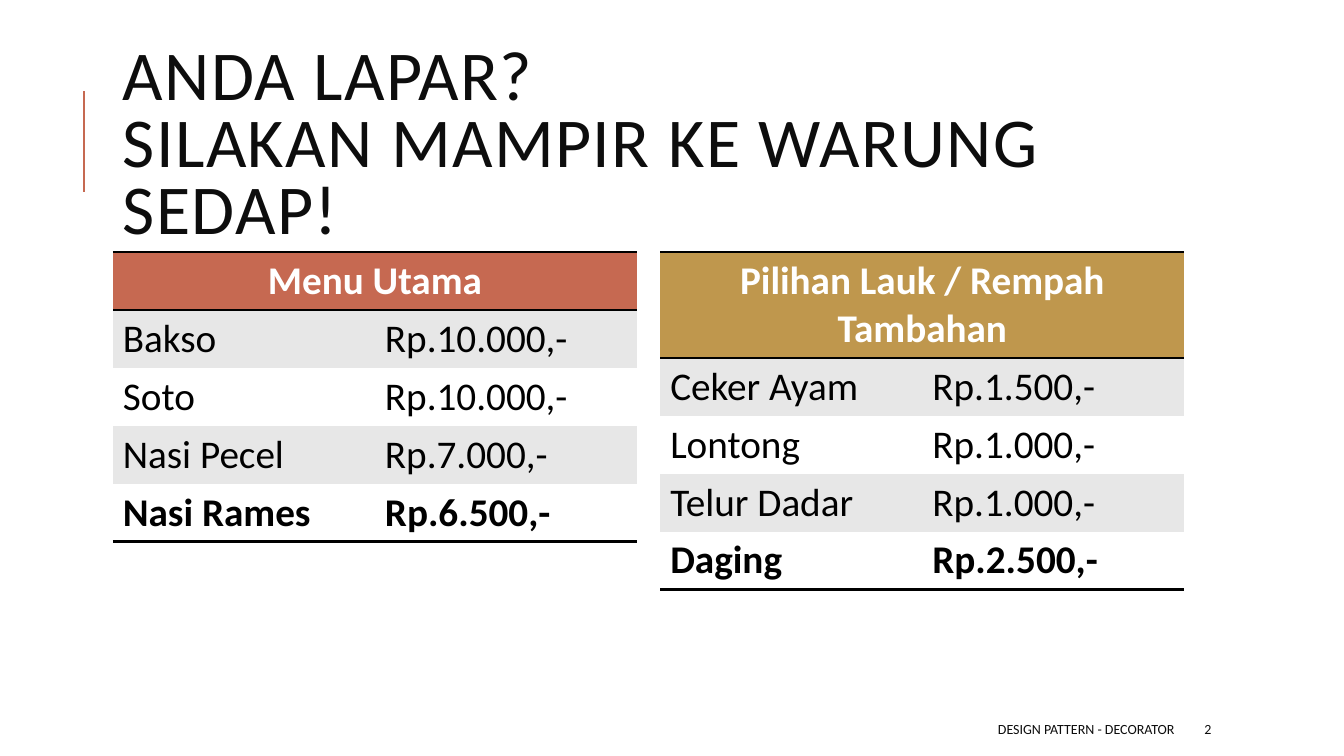
"""Build the slide with the two menus of the food stall."""
from lxml import etree
from pptx import Presentation
from pptx.dml.color import RGBColor
from pptx.enum import shapes, text
from pptx.oxml import ns
from pptx.util import Pt

RUST = RGBColor(0xC6, 0x69, 0x51)
GOLD = RGBColor(0xBF, 0x97, 0x4D)
GREY = RGBColor(0xE7, 0xE7, 0xE7)
WHITE = RGBColor(0xFF, 0xFF, 0xFF)
BLACK = RGBColor(0, 0, 0)
INK = RGBColor(0x0D, 0x0D, 0x0D)
FONT = "Calibri"
NO_TABLE_STYLE = "{2D5ABB26-0587-4C30-8999-92F81FD0307C}"

TITLE = ["ANDA LAPAR?", "SILAKAN MAMPIR KE WARUNG SEDAP!"]
FOOTER = "DESIGN PATTERN - DECORATOR"
PAGE_NUMBER = "2"
MENUS = [
    ("Menu Utama", RUST, 1, [
        ("Bakso", "Rp.10.000,-"),
        ("Soto", "Rp.10.000,-"),
        ("Nasi Pecel", "Rp.7.000,-"),
        ("Nasi Rames", "Rp.6.500,-"),
    ]),
    ("Pilihan Lauk / Rempah Tambahan", GOLD, 2, [
        ("Ceker Ayam", "Rp.1.500,-"),
        ("Lontong", "Rp.1.000,-"),
        ("Telur Dadar", "Rp.1.000,-"),
        ("Daging", "Rp.2.500,-"),
    ]),
]

LEFT, TABLE_TOP = 80.6, 180
COLUMN_WIDTH, TABLE_STEP = 187.2, 391
ROW_HEIGHT, EXTRA_LINE = 41.4, 34.2
FOOTER_TOP, FOOTER_HEIGHT = 509.8, 21.6


def format_paragraph(paragraph, size, color, bold=False, align=text.PP_ALIGN.LEFT):
    paragraph.alignment = align
    for run in paragraph.runs:
        run.font.name = FONT
        run.font.size = Pt(size)
        run.font.bold = bold
        run.font.color.rgb = color


def add_text(slide, lines, box, size, align=text.PP_ALIGN.LEFT):
    frame = slide.shapes.add_textbox(*map(Pt, box)).text_frame
    frame.word_wrap = True
    frame.vertical_anchor = text.MSO_ANCHOR.MIDDLE
    frame.text = "\n".join(lines)
    for paragraph in frame.paragraphs:
        format_paragraph(paragraph, size, INK, align=align)
    return frame


def add_border(cell, side):
    properties = cell._tc.get_or_add_tcPr()
    line = etree.SubElement(properties, ns.qn(f"a:ln{side}"), w=str(Pt(2)))
    fill = etree.SubElement(line, ns.qn("a:solidFill"))
    etree.SubElement(fill, ns.qn("a:srgbClr"), val=str(BLACK))


def fill_cell(cell, color, borders):
    for side in borders:
        add_border(cell, side)
    cell.fill.solid()
    cell.fill.fore_color.rgb = color


def add_menu(slide, left, heading, color, heading_lines, dishes):
    heading_height = ROW_HEIGHT + EXTRA_LINE * (heading_lines - 1)
    height = heading_height + ROW_HEIGHT * len(dishes)
    box = (left, TABLE_TOP, 2 * COLUMN_WIDTH, height)
    table = slide.shapes.add_table(len(dishes) + 1, 2, *map(Pt, box)).table
    table._tbl.tblPr.find(ns.qn("a:tableStyleId")).text = NO_TABLE_STYLE
    for row in table.rows:
        row.height = Pt(ROW_HEIGHT)
    table.rows[0].height = Pt(heading_height)

    heading_cell = table.cell(0, 0)
    heading_cell.merge(table.cell(0, 1))
    heading_cell.text_frame.text = heading
    format_paragraph(heading_cell.text_frame.paragraphs[0], 28, WHITE, True,
                     text.PP_ALIGN.CENTER)
    for column in range(2):
        fill_cell(table.cell(0, column), color, "TB")

    for row, dish in enumerate(dishes, start=1):
        last = row == len(dishes)
        for column, label in enumerate(dish):
            cell = table.cell(row, column)
            cell.text_frame.text = label
            format_paragraph(cell.text_frame.paragraphs[0], 28, BLACK, last)
            fill_cell(cell, GREY if row % 2 else WHITE, "B" if last else "")


def main():
    presentation = Presentation()
    presentation.slide_width, presentation.slide_height = Pt(960), Pt(540)
    slide = presentation.slides.add_slide(presentation.slide_layouts[6])

    accent = slide.shapes.add_connector(
        shapes.MSO_CONNECTOR.STRAIGHT, Pt(60), Pt(136.8), Pt(60), Pt(64.8))
    accent.line.color.rgb = RUST
    accent.line.width = Pt(1.5)
    etree.SubElement(accent._element.spPr, ns.qn("a:effectLst"))

    title = add_text(slide, TITLE, (LEFT, 46.1, 765.4, 118.1), 50)
    for paragraph in title.paragraphs:
        paragraph.line_spacing = 0.8
        for run in paragraph.runs:
            run.font._element.set("spc", "100")

    for index, menu in enumerate(MENUS):
        add_menu(slide, LEFT + index * TABLE_STEP, *menu)

    add_text(slide, [FOOTER], (381.6, FOOTER_TOP, 464.4, FOOTER_HEIGHT), 10,
             text.PP_ALIGN.RIGHT)
    add_text(slide, [PAGE_NUMBER], (853.2, FOOTER_TOP, 76.3, FOOTER_HEIGHT), 10)
    presentation.save("out.pptx")


if __name__ == "__main__":
    main()
